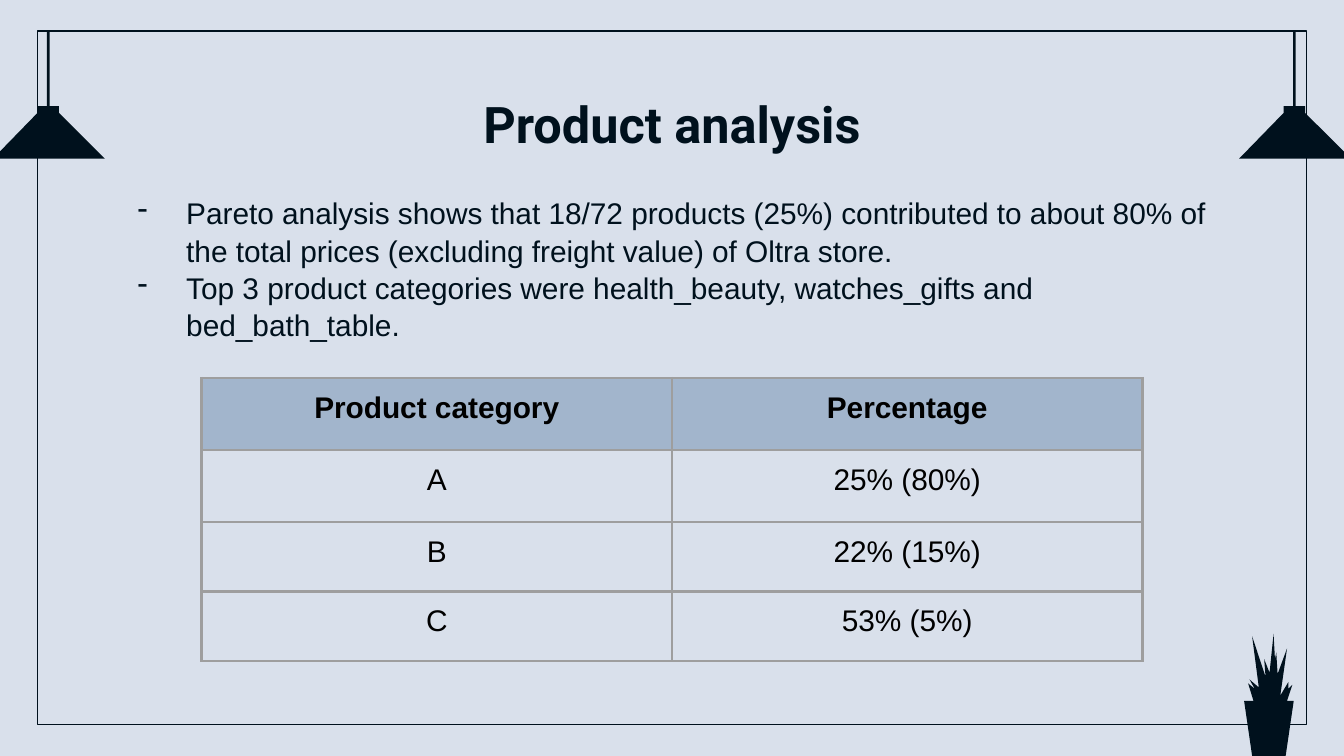
from pptx import Presentation
from pptx.dml.color import RGBColor
from pptx.enum.shapes import MSO_SHAPE
from pptx.enum.text import MSO_ANCHOR, PP_ALIGN
from pptx.oxml.ns import qn
from pptx.util import Pt
from lxml import etree

RECT = MSO_SHAPE.RECTANGLE
TOP = MSO_ANCHOR.TOP
LEFT, CENTER = PP_ALIGN.LEFT, PP_ALIGN.CENTER

HEX = {
    "page": "D9E0EB",
    "ink": "00111D",
    "text": "000000",
    "head": "A2B5CC",
    "grid": "9E9E9E",
}
PAD = 7.2

# Outlines are in percent of an inch, scaled to the box they fill.
LAMP = [(40, 0), (40, 56), (33, 56), (33, 61), (0, 95), (83, 95),
        (49, 61), (49, 56), (42, 56), (42, 0)]
PLANT = [(22, 0), (19, 29), (15, 19), (16, 32), (6, 2), (11, 40), (4, 34),
         (8, 41), (3, 37), (7, 50), (0, 50), (6, 91), (31, 91), (37, 50),
         (32, 50), (36, 38), (33, 41), (33, 36), (27, 46), (32, 11),
         (25, 30), (24, 14), (23, 19)]

ROWS = [
    ("Product category", "Percentage"),
    ("A", "25% (80%)"),
    ("B", "22% (15%)"),
    ("C", "53% (5%)"),
]
POINTS = [
    "Pareto analysis shows that 18/72 products (25%) contributed to about "
    "80% of the total prices (excluding freight value) of Oltra store.",
    "Top 3 product categories were health_beauty, watches_gifts and "
    "bed_bath_table.",
]


def color(name):
    return RGBColor.from_string(HEX[name])


def pts(box):
    return [Pt(v) for v in box]


def dash(para):
    """Give the paragraph a hanging dash as its bullet."""
    props = para._p.get_or_add_pPr()
    props.set("marL", str(Pt(36)))
    props.set("indent", str(-Pt(26)))
    tint = etree.SubElement(props, qn("a:buClr"))
    etree.SubElement(tint, qn("a:srgbClr"), val=HEX["ink"])
    etree.SubElement(props, qn("a:buChar"), char="-")


def write(frame, lines, font="Arial", size=16, bold=False, ink="ink",
          align=LEFT, space=None, bullet=False):
    frame.word_wrap = True
    for i, line in enumerate(lines):
        para = frame.paragraphs[0] if i == 0 else frame.add_paragraph()
        if bullet:
            dash(para)
        para.alignment = align
        if space:
            para.line_spacing = space
        run = para.add_run()
        run.text = line
        run.font.name = font
        run.font.size = Pt(size)
        run.font.bold = bold
        run.font.color.rgb = color(ink)


def add_text(slide, box, lines, **style):
    frame = slide.shapes.add_textbox(*pts(box)).text_frame
    frame.margin_left = frame.margin_right = Pt(PAD)
    frame.margin_top = frame.margin_bottom = Pt(PAD)
    frame.vertical_anchor = TOP
    write(frame, lines, **style)


def add_frame(slide, box):
    shape = slide.shapes.add_shape(RECT, *pts(box))
    shape.shadow.inherit = False
    shape.fill.background()
    shape.line.color.rgb = color("ink")
    shape.line.width = Pt(0.75)


def add_outline(slide, box, outline):
    """Fill the box with a solid silhouette."""
    left, top, wide, high = box
    sx = wide / max(x for x, _ in outline)
    sy = high / max(y for _, y in outline)
    spots = [(Pt(left + x * sx), Pt(top + y * sy)) for x, y in outline]
    pen = slide.shapes.build_freeform(*spots[0])
    pen.add_line_segments(spots[1:], close=True)
    shape = pen.convert_to_shape()
    shape.shadow.inherit = False
    shape.fill.solid()
    shape.fill.fore_color.rgb = color("ink")
    shape.line.fill.background()


def add_border(cell):
    props = cell._tc.get_or_add_tcPr()
    for side in ("lnL", "lnR", "lnT", "lnB"):
        line = etree.SubElement(props, qn("a:" + side), w=str(Pt(1.5)))
        fill = etree.SubElement(line, qn("a:solidFill"))
        etree.SubElement(fill, qn("a:srgbClr"), val=HEX["grid"])


def add_grid(slide, box, rows, heights):
    cols = len(rows[0])
    table = slide.shapes.add_table(len(rows), cols, *pts(box)).table
    table.first_row = table.horz_banding = False
    for col in table.columns:
        col.width = Pt(box[2] / cols)
    for r, (row, high) in enumerate(zip(rows, heights)):
        table.rows[r].height = Pt(high)
        for c, value in enumerate(row):
            cell = table.cell(r, c)
            cell.margin_left = cell.margin_right = Pt(PAD)
            cell.margin_top = cell.margin_bottom = Pt(PAD)
            cell.vertical_anchor = TOP
            add_border(cell)
            if r == 0:
                cell.fill.solid()
                cell.fill.fore_color.rgb = color("head")
            else:
                cell.fill.background()
            write(cell.text_frame, [value], bold=r == 0, ink="text",
                  align=CENTER)


def add_decor(slide, box):
    """Draw the frame on the box, with a lamp at each top corner."""
    left, top, wide, high = box
    add_frame(slide, box)
    for mid in (left + 6, left + wide - 6):
        add_outline(slide, (mid - 30, top, 60, 68.4), LAMP)
    add_outline(slide, (left + wide - 33.3, 339.5, 26.6, 65.5), PLANT)


def main():
    deck = Presentation()
    deck.slide_width, deck.slide_height = Pt(720), Pt(405)
    slide = deck.slides.add_slide(deck.slide_layouts[6])
    slide.background.fill.solid()
    slide.background.fill.fore_color.rgb = color("page")
    add_decor(slide, (20.2, 16.6, 679.6, 371.6))
    add_text(slide, (56.7, 42.5, 606.6, 45.4), ["Product analysis"],
             font="Roboto", size=27, bold=True, align=CENTER)
    add_text(slide, (56.7, 96.5, 606.6, 90), POINTS, space=1.04, bullet=True)
    heights = [38.6, 38.6, 37.2, 37.2]
    add_grid(slide, (108, 202.5, 504, sum(heights)), ROWS, heights)
    deck.save("out.pptx")


if __name__ == "__main__":
    main()
